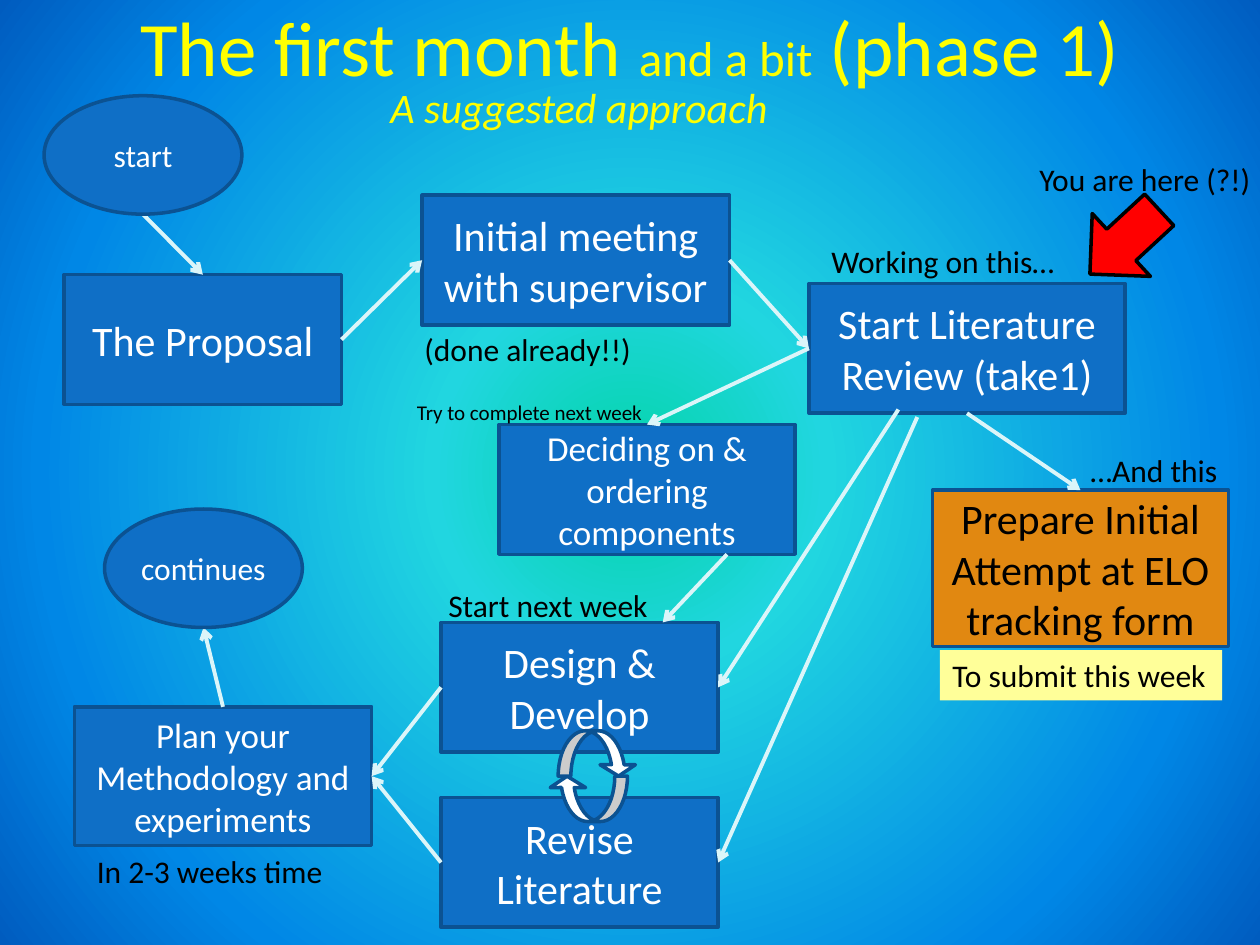
import pptx
import pptx.util
import pptx.dml.color
import pptx.enum.shapes
import pptx.enum.text
import pptx.oxml
import pptx.oxml.ns
from lxml import etree

Inches, Pt = pptx.util.Inches, pptx.util.Pt
SHAPE = pptx.enum.shapes.MSO_SHAPE
ALIGN = pptx.enum.text.PP_ALIGN
ANCHOR = pptx.enum.text.MSO_ANCHOR

# Content
FONT = "Calibri"
BLUE, EDGE, PALE = "0F6FC6", "0B5292", "DBF5F9"
WHITE, BLACK, YELLOW = "FFFFFF", "000000", "FFFF00"
BACKGROUND = [(0, "03D4A8"), (25, "21D6E0"), (75, "0087E6"), (100, "005CBF")]
TITLE = [("The first month ", 44), ("and a bit", 28), (" (phase 1)", 44)]

# name: text, left, top, width, height, size, fill, text colour
STEPS = {
    "proposal": ("The Proposal", 0.51, 2.18, 2.2, 1.03, 24, BLUE, WHITE),
    "review": ("Start Literature\nReview (take1)", 6.42, 2.25, 2.51, 1.03, 24, BLUE, WHITE),
    "meeting": ("Initial meeting with supervisor", 3.35, 1.55, 2.44, 1.03, 24, BLUE, WHITE),
    "tracking": ("Prepare Initial Attempt at ELO tracking form",
                 7.4, 3.89, 2.35, 1.24, 24, "E18811", BLACK),
    "design": ("Design & Develop", 3.5, 4.94, 2.2, 1.03, 24, BLUE, WHITE),
    "revise": ("Revise Literature", 3.5, 6.33, 2.2, 1.03, 24, BLUE, WHITE),
    "plan": ("Plan your Methodology and experiments", 0.59, 5.61, 2.36, 1.1, 20, BLUE, WHITE),
    "components": ("Deciding on & ordering components",
                   3.96, 3.37, 2.35, 1.03, 20, BLUE, WHITE),
}
TERMINALS = {
    "continues": ("continues", 0.83, 4.04, 1.57, 0.94, 18, BLUE, WHITE),
    "start": ("start", 0.35, 0.76, 1.57, 0.94, 18, BLUE, WHITE),
}

# Each end is a (step, side) pair or a plain point
FLOWS = [
    (("start", "bottom"), ("proposal", "top")),
    (("proposal", "right"), ("meeting", "left")),
    (("meeting", "right"), ("review", "left")),
    (("review", "bottom"), ("tracking", "top")),
    ((7.13, 3.25), ("design", "right")),
    ((7.28, 3.31), ("revise", "right")),
    (("design", "left"), ("plan", "right")),
    (("revise", "left"), ("plan", "right")),
    (("plan", "top"), ("continues", "bottom")),
    (("review", "left"), ("components", "top")),
    ((5.77, 4.4), (5.26, 4.94)),
]

# text, left, top, width, height, size, colour
SUBTITLE = ("A suggested approach", 3, 0.6, 3.21, 0.5, 24, YELLOW)
DEADLINE = ("To submit this week", 7.46, 5.16, 2.24, 0.4, 18, BLACK)
LAST_NOTE = ("…And this", 8.52, 3.53, 1.24, 0.4, 18, BLACK)
NOTES = [
    ("(done already!!)", 3.27, 2.57, 1.86, 0.4, 18, BLACK),
    ("Working on this…", 6.5, 1.87, 2.01, 0.4, 18, BLACK),
    ("Start next week", 3.46, 4.6, 1.8, 0.4, 18, BLACK),
    ("In 2-3 weeks time", 0.67, 6.71, 2.02, 0.4, 18, BLACK),
    ("You are here (?!)", 8.15, 1.22, 1.9, 0.4, 18, BLACK),
    ("Try to complete next week", 3.21, 3.12, 2.01, 0.3, 12, BLACK),
]
CYCLE = [(4.36, 6.16, 180), (4.43, 5.8, 0)]  # left, top, rotation


# Helpers
def rgb(value):
    return pptx.dml.color.RGBColor.from_string(value)


def style_run(run, size, color, italic=None):
    run.font.name, run.font.size, run.font.italic = FONT, Pt(size), italic
    run.font.color.rgb = rgb(color)


def write(frame, text, size, color, align, italic=None):
    frame.text = text
    for paragraph in frame.paragraphs:
        paragraph.alignment = align
        for run in paragraph.runs:
            style_run(run, size, color, italic)


def add_outline(kind, left, top, width, height, fill, line, rotation=0):
    shape = slide.shapes.add_shape(kind, *map(Inches, (left, top, width, height)))
    shape.shadow.inherit = False
    shape.fill.solid()
    shape.fill.fore_color.rgb = rgb(fill)
    shape.line.color.rgb = rgb(line)
    shape.line.width = Pt(2)
    shape.rotation = rotation
    return shape


def add_step(kind, text, left, top, width, height, size, fill, color):
    step = add_outline(kind, left, top, width, height, fill, EDGE)
    frame = step.text_frame
    frame.word_wrap = True
    frame.vertical_anchor = ANCHOR.MIDDLE
    write(frame, text, size, color, ALIGN.CENTER)
    return step


def add_note(text, left, top, width, height, size, color, align=ALIGN.LEFT, italic=None):
    note = slide.shapes.add_textbox(*map(Inches, (left, top, width, height)))
    note.text_frame.word_wrap = False
    note.text_frame.auto_size = pptx.enum.text.MSO_AUTO_SIZE.SHAPE_TO_FIT_TEXT
    write(note.text_frame, text, size, color, align, italic)
    return note


def locate(end):
    if end[0] not in places:
        return end
    left, top, width, height = places[end[0]][1:5]
    across, down = {"top": (0.5, 0), "bottom": (0.5, 1),
                    "left": (0, 0.5), "right": (1, 0.5)}[end[1]]
    return left + across * width, top + down * height


def add_flow(start, end):
    flow = slide.shapes.add_connector(
        pptx.enum.shapes.MSO_CONNECTOR.STRAIGHT,
        *map(Inches, (*locate(start), *locate(end))))
    flow.line.color.rgb = rgb(PALE)
    flow.line.width = Pt(2.25)
    etree.SubElement(flow.line._get_or_add_ln(), pptx.oxml.ns.qn("a:tailEnd"), type="arrow")
    etree.SubElement(flow._element.spPr, pptx.oxml.ns.qn("a:effectLst"))


# Slide and radial background
deck = pptx.Presentation()
deck.slide_width, deck.slide_height = Inches(10), Inches(7.5)
slide = deck.slides.add_slide(deck.slide_layouts[5])
stops = "".join(f'<a:gs pos="{pos * 1000}"><a:srgbClr val="{color}"/></a:gs>'
                for pos, color in BACKGROUND)
slide._element.cSld.insert(0, pptx.oxml.parse_xml(
    f'<p:bg {pptx.oxml.ns.nsdecls("p", "a")}><p:bgPr><a:gradFill><a:gsLst>{stops}</a:gsLst>'
    '<a:path path="circle"><a:fillToRect l="50000" t="50000" r="50000" b="50000"/></a:path>'
    '</a:gradFill><a:effectLst/></p:bgPr></p:bg>'))

# Title
title = slide.shapes.title
title.left, title.top, title.width, title.height = map(Inches, (0.5, -0.26, 9, 1.25))
title.text_frame.vertical_anchor = ANCHOR.MIDDLE
heading = title.text_frame.paragraphs[0]
heading.alignment = ALIGN.CENTER
for words, size in TITLE:
    run = heading.add_run()
    run.text = words
    style_run(run, size, YELLOW)

# Flow chart
places = {**STEPS, **TERMINALS}
for step in STEPS.values():
    add_step(SHAPE.RECTANGLE, *step)
for start, end in FLOWS:
    add_flow(start, end)
for terminal in TERMINALS.values():
    frame = add_step(SHAPE.OVAL, *terminal).text_frame
    frame.margin_left = frame.margin_right = Inches(0.05)
    frame.margin_top = frame.margin_bottom = Inches(0.05)

# Notes
add_note(*SUBTITLE, italic=True)
for note in NOTES:
    add_note(*note)
add_note(*LAST_NOTE, align=ALIGN.RIGHT)
deadline = add_note(*DEADLINE)
deadline.fill.solid()
deadline.fill.fore_color.rgb = rgb("FFFF99")

# Position marker and design cycle
add_outline(SHAPE.RIGHT_ARROW, 8.55, 1.58, 0.75, 0.68, "FF0000", BLACK, 137.2)
for left, top, rotation in CYCLE:
    turn = add_outline(SHAPE.CURVED_DOWN_ARROW, left, top, 0.62, 0.36, WHITE, EDGE, rotation)
    for index, value in enumerate((0.28, 0.78, 0.25)):
        turn.adjustments[index] = value

deck.save("out.pptx")
